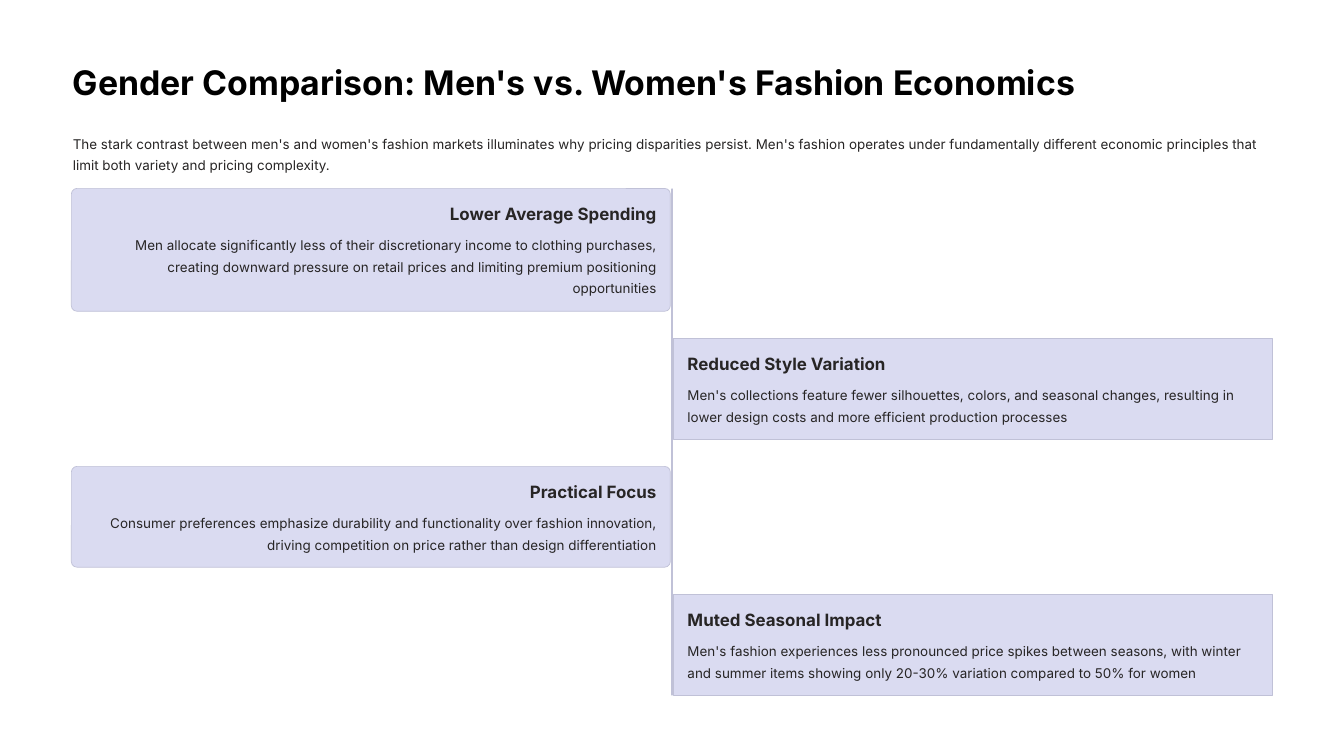
import pptx
import pptx.util
import pptx.dml.color
import pptx.enum.shapes
import pptx.enum.text

Pt = pptx.util.Pt
Shape = pptx.enum.shapes.MSO_SHAPE
Align = pptx.enum.text.PP_ALIGN

COLORS = {
    "background": "FFFFFF",
    "title": "000000",
    "text": "272525",
    "card": "DADBF1",
    "line": "C0C1D7",
}


def add_text(slide, box, text, size, spacing, color="text", bold=False, align=Align.LEFT):
    shape = slide.shapes.add_textbox(*(Pt(value) for value in box))
    frame = shape.text_frame
    frame.word_wrap = True
    frame.margin_left = frame.margin_right = frame.margin_top = frame.margin_bottom = 0
    paragraph = frame.paragraphs[0]
    paragraph.text = text
    paragraph.alignment = align
    paragraph.line_spacing = Pt(spacing)
    paragraph.font.name = "Inter"
    paragraph.font.size = Pt(size)
    paragraph.font.bold = bold
    paragraph.font.color.rgb = pptx.dml.color.RGBColor.from_string(COLORS[color])


def add_block(slide, box, fill, outline=None, radius=0):
    kind = Shape.ROUNDED_RECTANGLE if radius else Shape.RECTANGLE
    shape = slide.shapes.add_shape(kind, *(Pt(value) for value in box))
    shape.shadow.inherit = False
    if radius:
        shape.adjustments[0] = radius / min(box[2:])
    shape.fill.solid()
    shape.fill.fore_color.rgb = pptx.dml.color.RGBColor.from_string(COLORS[fill])
    if outline:
        shape.line.color.rgb = pptx.dml.color.RGBColor.from_string(COLORS[outline])
        shape.line.width = Pt(0.6)
    else:
        shape.line.fill.background()


presentation = pptx.Presentation()
presentation.slide_width = Pt(1152)
presentation.slide_height = Pt(648)
slide = presentation.slides.add_slide(presentation.slide_layouts[6])
slide.background.fill.solid()
slide.background.fill.fore_color.rgb = pptx.dml.color.RGBColor.from_string(COLORS["background"])

add_text(slide, (62.4, 52, 1027, 36), "Gender Comparison: Men's vs. Women's Fashion Economics",
         29, 36, "title", True)
add_text(slide, (62.4, 111.6, 1027, 37.4),
         "The stark contrast between men's and women's fashion markets illuminates why pricing "
         "disparities persist. Men's fashion operates under fundamentally different economic "
         "principles that limit both variety and pricing complexity.", 11.5, 18.5)

CARD_TOP = 161.5
CARD_WIDTH = 513.4
CARD_GAP = 23.3
LEFT_CARD = 61.2
RIGHT_CARD = 577.4
INSET = 11.9
TEXT_WIDTH = CARD_WIDTH - 2 * INSET

add_block(slide, (575.3, CARD_TOP, 1.5, 434.7), "line", radius=0.75)

cards = [
    ("Lower Average Spending", 105.3,
     "Men allocate significantly less of their discretionary income to clothing purchases, "
     "creating downward pressure on retail prices and limiting premium positioning opportunities"),
    ("Reduced Style Variation", 86.4,
     "Men's collections feature fewer silhouettes, colors, and seasonal changes, resulting in "
     "lower design costs and more efficient production processes"),
    ("Practical Focus", 86.4,
     "Consumer preferences emphasize durability and functionality over fashion innovation, "
     "driving competition on price rather than design differentiation"),
    ("Muted Seasonal Impact", 86.4,
     "Men's fashion experiences less pronounced price spikes between seasons, with winter "
     "and summer items showing only 20-30% variation compared to 50% for women"),
]

top = CARD_TOP
for index, (heading, height, body) in enumerate(cards):
    on_left = index % 2 == 0
    left = LEFT_CARD if on_left else RIGHT_CARD
    align = Align.RIGHT if on_left else Align.LEFT
    add_block(slide, (left, top, CARD_WIDTH, height), "card", "line", 4.84 if on_left else 0)
    add_text(slide, (left + INSET, top + 12, TEXT_WIDTH, 18), heading, 14.5, 18,
             bold=True, align=align)
    add_text(slide, (left + INSET, top + 37, TEXT_WIDTH, height - 49), body, 11.5, 18.5,
             align=align)
    top += height + CARD_GAP

presentation.save("out.pptx")
